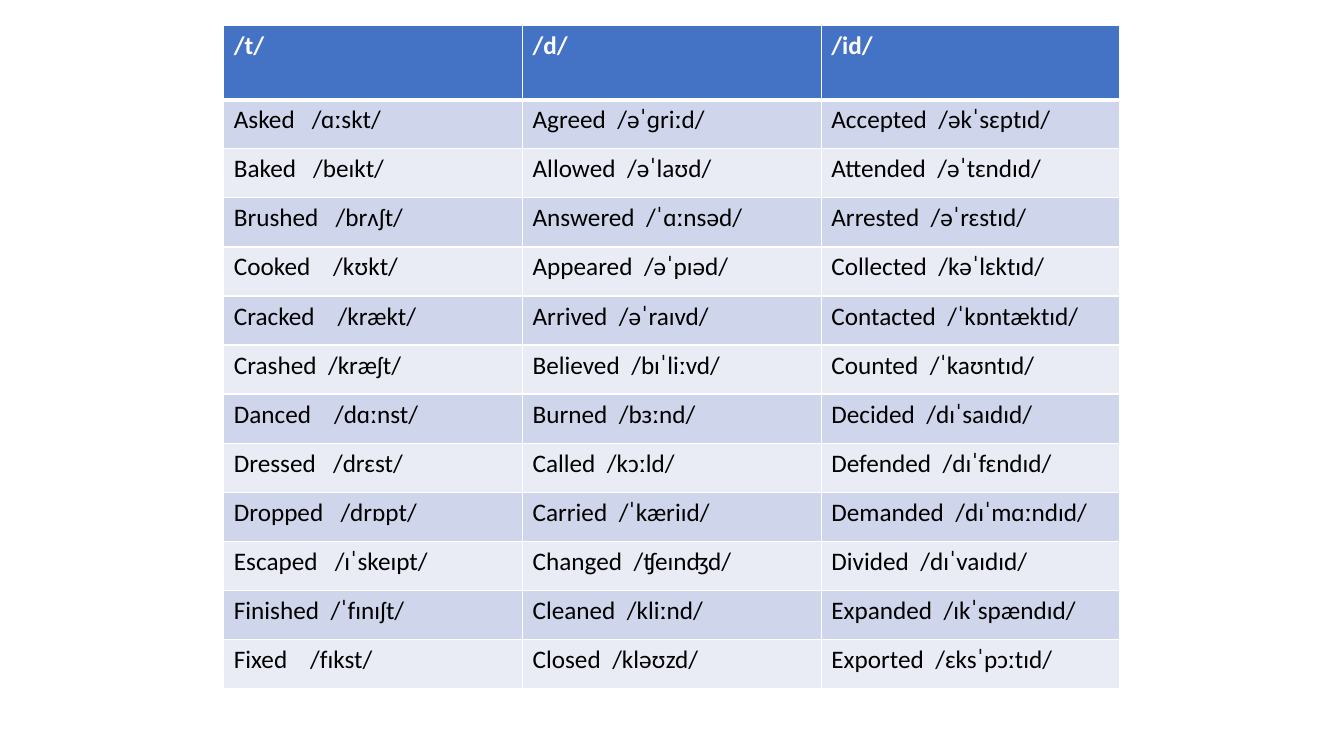
from dataclasses import dataclass

import pptx
import pptx.dml.color
import pptx.oxml
import pptx.oxml.ns
import pptx.util
from pptx.util import Inches


@dataclass(frozen=True)
class Theme:
    font: str = "Calibri"
    size: float = 18
    space_width: float = 4.07
    header_fill: str = "4472C4"
    header_text: str = "FFFFFF"
    body_text: str = "000000"
    bands: tuple[str, str] = ("CFD5EA", "E9EBF5")
    border: str = "FFFFFF"
    thin: int = 1
    thick: int = 3


@dataclass(frozen=True)
class Verb:
    word: str
    sound: str
    gap: int = 2


@dataclass(frozen=True)
class Ending:
    title: str
    verbs: list[Verb]


THEME = Theme()
LEFT, TOP, WIDTH, HEIGHT = 2.22, 0.25, 8.89, 6.58
HEADER_HEIGHT = 0.74

ENDINGS = [
    Ending("/t/", [
        Verb("Asked", "/ɑːskt/", 3),
        Verb("Baked", "/beɪkt/", 3),
        Verb("Brushed", "/brʌʃt/", 3),
        Verb("Cooked", "/kʊkt/", 4),
        Verb("Cracked", "/krækt/", 4),
        Verb("Crashed", "/kræʃt/"),
        Verb("Danced", "/dɑːnst/", 4),
        Verb("Dressed", "/drɛst/", 3),
        Verb("Dropped", "/drɒpt/", 3),
        Verb("Escaped", "/ɪˈskeɪpt/", 3),
        Verb("Finished", "/ˈfɪnɪʃt/"),
        Verb("Fixed", "/fɪkst/", 4),
    ]),
    Ending("/d/", [
        Verb("Agreed", "/əˈɡriːd/"),
        Verb("Allowed", "/əˈlaʊd/"),
        Verb("Answered", "/ˈɑːnsəd/"),
        Verb("Appeared", "/əˈpɪəd/"),
        Verb("Arrived", "/əˈraɪvd/"),
        Verb("Believed", "/bɪˈliːvd/"),
        Verb("Burned", "/bɜːnd/"),
        Verb("Called", "/kɔːld/"),
        Verb("Carried", "/ˈkæriɪd/"),
        Verb("Changed", "/ʧeɪnʤd/"),
        Verb("Cleaned", "/kliːnd/"),
        Verb("Closed", "/kləʊzd/"),
    ]),
    Ending("/id/", [
        Verb("Accepted", "/əkˈsɛptɪd/"),
        Verb("Attended", "/əˈtɛndɪd/"),
        Verb("Arrested", "/əˈrɛstɪd/"),
        Verb("Collected", "/kəˈlɛktɪd/"),
        Verb("Contacted", "/ˈkɒntæktɪd/"),
        Verb("Counted", "/ˈkaʊntɪd/"),
        Verb("Decided", "/dɪˈsaɪdɪd/"),
        Verb("Defended", "/dɪˈfɛndɪd/"),
        Verb("Demanded", "/dɪˈmɑːndɪd/"),
        Verb("Divided", "/dɪˈvaɪdɪd/"),
        Verb("Expanded", "/ɪkˈspændɪd/"),
        Verb("Exported", "/ɛksˈpɔːtɪd/"),
    ]),
]


def add_run(p, text: str, color: str, bold: bool):
    r = p.add_run()
    r.text = text
    values = {"name": THEME.font, "size": pptx.util.Pt(THEME.size), "bold": bold}
    for name, value in values.items():
        setattr(r.font, name, value)
    r.font.color.rgb = pptx.dml.color.RGBColor.from_string(color)
    return r


def set_borders(cell, top: int, bottom: int) -> None:
    tc_pr = cell._tc.get_or_add_tcPr()
    widths = {"L": THEME.thin, "R": THEME.thin, "T": top, "B": bottom}
    for side, points in widths.items():
        tc_pr.append(pptx.oxml.parse_xml(
            f'<a:ln{side} {pptx.oxml.ns.nsdecls("a")} w="{pptx.util.Pt(points)}">'
            f'<a:solidFill><a:srgbClr val="{THEME.border}"/></a:solidFill>'
            f'</a:ln{side}>'))


def style_cell(cell, row: int) -> None:
    set_borders(cell,
                top=THEME.thick if row == 1 else THEME.thin,
                bottom=THEME.thick if row == 0 else THEME.thin)
    fill = THEME.bands[(row - 1) % 2] if row else THEME.header_fill
    cell.fill.solid()
    cell.fill.fore_color.rgb = pptx.dml.color.RGBColor.from_string(fill)


def write_verb(p, verb: Verb) -> None:
    add_run(p, verb.word, THEME.body_text, False)
    gap = add_run(p, " ", THEME.body_text, False)
    extra = round((verb.gap - 1) * THEME.space_width * 100)
    gap.font._element.set("spc", str(extra))
    add_run(p, verb.sound, THEME.body_text, False)


def add_ending_table(s, endings: list[Ending]) -> None:
    verb_count = len(endings[0].verbs)
    table = s.shapes.add_table(verb_count + 1, len(endings), Inches(LEFT),
                               Inches(TOP), Inches(WIDTH), Inches(HEIGHT)).table
    for i, row in enumerate(table.rows):
        height = (HEIGHT - HEADER_HEIGHT) / verb_count if i else HEADER_HEIGHT
        row.height = Inches(height)
    for col, ending in enumerate(endings):
        table.columns[col].width = Inches(WIDTH / len(endings))
        header = table.cell(0, col)
        style_cell(header, 0)
        add_run(header.text_frame.paragraphs[0], ending.title, THEME.header_text, True)
        for row, verb in enumerate(ending.verbs, start=1):
            cell = table.cell(row, col)
            style_cell(cell, row)
            write_verb(cell.text_frame.paragraphs[0], verb)


def main() -> None:
    prs = pptx.Presentation()
    prs.slide_width, prs.slide_height = Inches(13.33), Inches(7.5)
    s = prs.slides.add_slide(prs.slide_layouts[6])
    add_ending_table(s, ENDINGS)
    prs.save("out.pptx")


if __name__ == "__main__":
    main()
